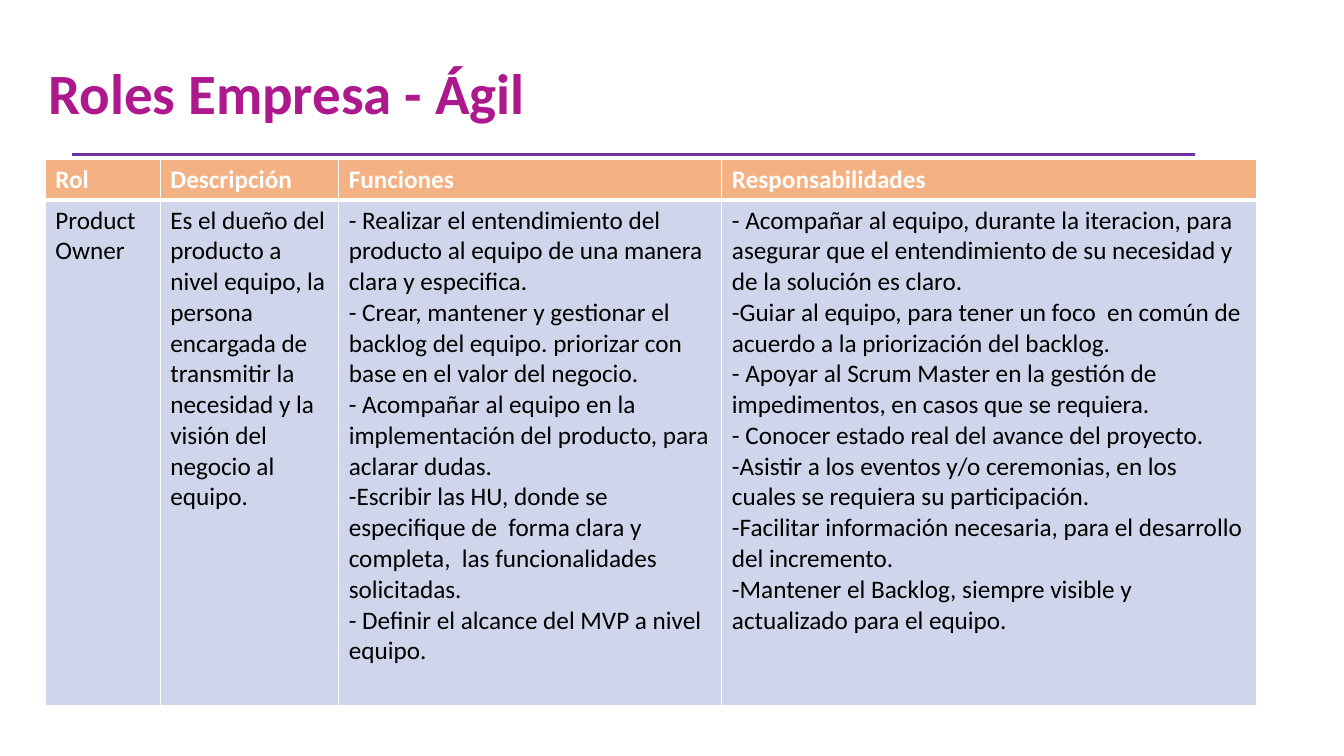
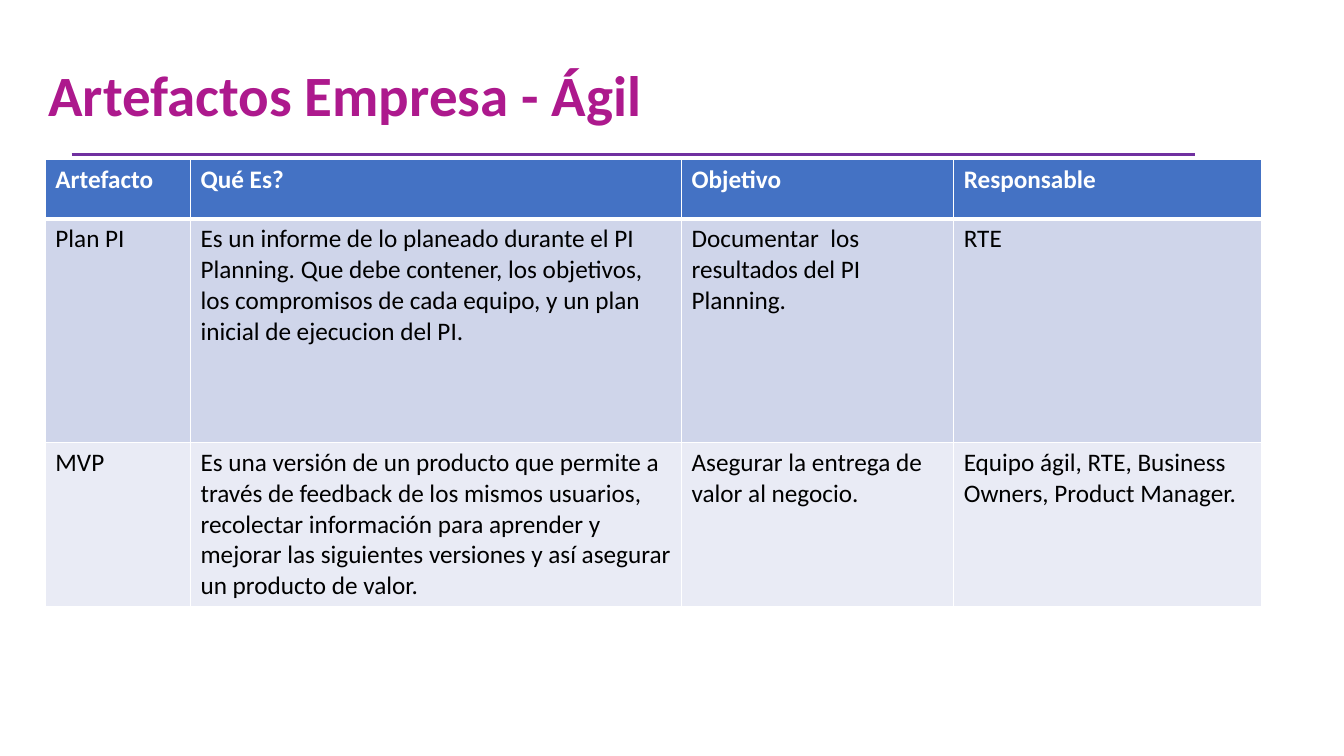
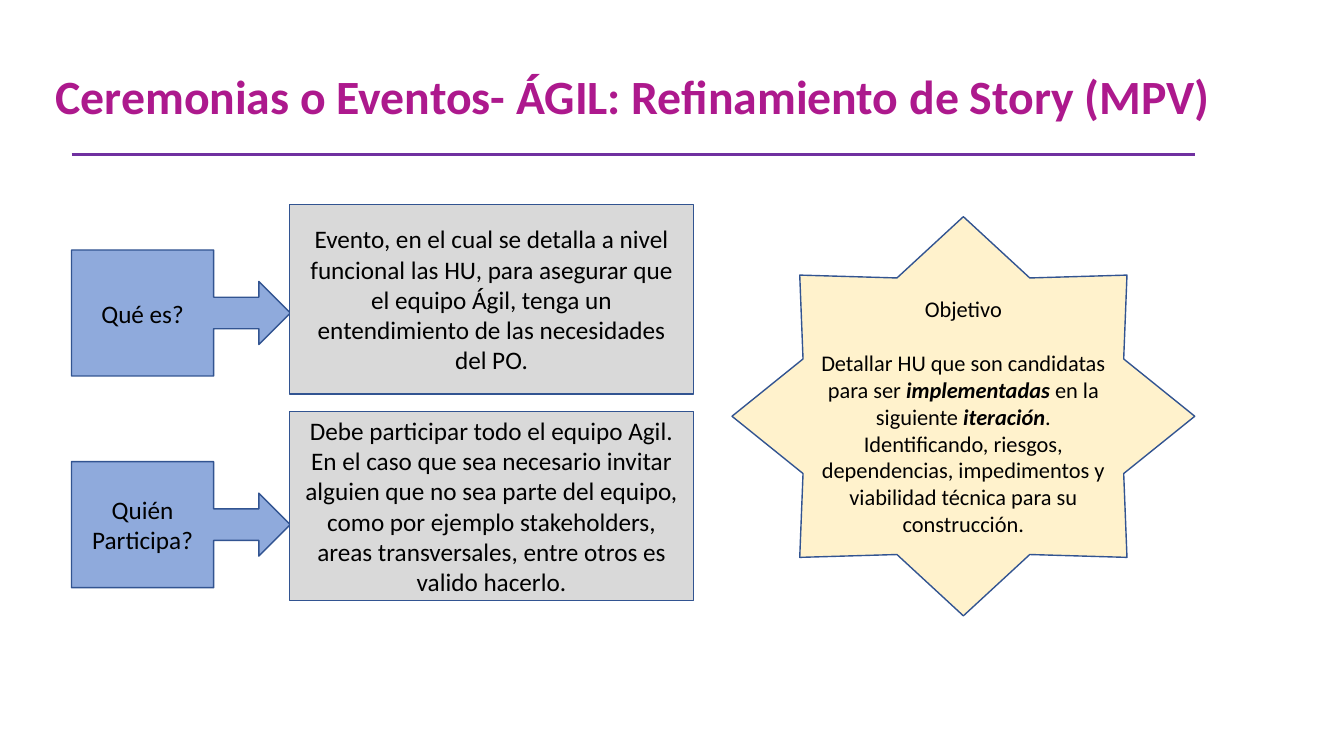
"""Build three slides on agile roles, artefacts and events."""
from lxml.etree import SubElement
from pptx import Presentation
from pptx.dml.color import RGBColor
from pptx.enum.shapes import MSO_CONNECTOR, MSO_SHAPE
from pptx.enum.text import MSO_ANCHOR, MSO_AUTO_SIZE, PP_ALIGN
from pptx.oxml.ns import qn
from pptx.util import Inches, Pt

FONT = "Calibri"
WHITE, BLACK, MAGENTA, PURPLE = "FFFFFF", "000000", "AD198D", "7030A0"
ORANGE, BLUE, BANDS = "F4B183", "4472C4", ("CFD5EA", "E9EBF5")
CALLOUT, GREY, CREAM, OUTLINE = "8FAADC", "D9D9D9", "FFF2CC", "325491"
LEFT, RIGHT, RULE_TOP = 0.71, 11.85, 1.53
TABLE_LEFT, TABLE_TOP = 0.45, 1.58

ROLES = {
    "title": ("Roles Empresa - Ágil", 0.38, 0.69, 40.7),
    "header": ORANGE,
    "columns": (1.14, 1.77, 3.8, 5.3),
    "rows": (0.4, 5.01),
    "cells": [
        ["Rol", "Descripción", "Funciones", "Responsabilidades"],
        [
            "Product Owner",
            "Es el dueño del producto a nivel equipo, la persona encargada de transmitir "
            "la necesidad y la visión del negocio al equipo.",
            "- Realizar el entendimiento del producto al equipo de una manera clara y especifica.\n"
            "- Crear, mantener y gestionar el backlog del equipo. priorizar con base en el valor del negocio.\n"
            "- Acompañar al equipo en la implementación del producto, para aclarar dudas.\n"
            "-Escribir las HU, donde se especifique de  forma clara y completa,  las funcionalidades solicitadas.\n"
            "- Definir el alcance del MVP a nivel equipo.",
            "- Acompañar al equipo, durante la iteracion, para asegurar que el entendimiento "
            "de su necesidad y de la solución es claro.\n"
            "-Guiar al equipo, para tener un foco  en común de acuerdo a la priorización del backlog.\n"
            "- Apoyar al Scrum Master en la gestión de impedimentos, en casos que se requiera.\n"
            "- Conocer estado real del avance del proyecto.\n"
            "-Asistir a los eventos y/o ceremonias, en los cuales se requiera su participación.\n"
            "-Facilitar información necesaria, para el desarrollo del incremento.\n"
            "-Mantener el Backlog, siempre visible y actualizado para el equipo.",
        ],
    ],
}
ARTEFACTS = {
    "title": ("Artefactos Empresa - Ágil", 0.38, 0.71, 40.7),
    "header": BLUE,
    "columns": (1.44, 4.87, 2.7, 3.05),
    "rows": (0.59, 2.22, 1.63),
    "cells": [
        ["Artefacto", "Qué Es?", "Objetivo", "Responsable"],
        [
            "Plan PI",
            "Es un informe de lo planeado durante el PI Planning. Que debe contener, los objetivos, "
            "los compromisos de cada equipo, y un plan inicial de ejecucion del PI.",
            "Documentar  los resultados del PI Planning.",
            "RTE",
        ],
        [
            "MVP",
            "Es una versión de un producto que permite a través de feedback de los mismos usuarios, "
            "recolectar información para aprender y mejorar las siguientes versiones y así asegurar "
            "un producto de valor.",
            "Asegurar la entrega de valor al negocio.",
            "Equipo ágil, RTE, Business Owners, Product Manager.",
        ],
    ],
}
EVENT_TITLE = ("Ceremonias o Eventos- ÁGIL: Refinamiento de Story (MPV)", 0.45, 0.71, 34.1)
QUESTIONS = [
    ("Qué es?", 2.48, 2.03,
     "Evento, en el cual se detalla a nivel funcional las HU, para asegurar que el equipo Ágil, "
     "tenga un entendimiento de las necesidades del PO."),
    ("Quién Participa?", 4.58, 4.08,
     "Debe participar todo el equipo Agil. En el caso que sea necesario invitar alguien que no sea "
     "parte del equipo, como por ejemplo stakeholders, areas transversales, entre otros es valido hacerlo."),
]
GOAL = [
    [("Objetivo", False)],
    [("Detallar HU que son candidatas para ser ", False), ("implementadas", True),
     (" en la siguiente ", False), ("iteración", True),
     (". Identificando, riesgos, dependencias, impedimentos y viabilidad técnica para su construcción.", False)],
]


def rgb(value):
    """Turn a hex string into a colour."""
    return RGBColor.from_string(value)


def style_font(font, size, color, **formats):
    """Apply the shared typeface and the given format values."""
    font.color.rgb = rgb(color)
    for name, value in {"name": FONT, "size": Pt(size), **formats}.items():
        setattr(font, name, value)


def new_slide(presentation, text, left, top, size):
    """Add a slide with its title and the rule below it."""
    slide = presentation.slides.add_slide(presentation.slide_layouts[5])
    title = slide.shapes.title
    for name, value in {"left": left, "top": top, "width": 11.66, "height": 0.61}.items():
        setattr(title, name, Inches(value))
    frame = title.text_frame
    frame.text = text
    frame.word_wrap = True
    frame.auto_size = MSO_AUTO_SIZE.NONE
    frame.vertical_anchor = MSO_ANCHOR.MIDDLE
    paragraph = frame.paragraphs[0]
    paragraph.alignment = PP_ALIGN.LEFT
    paragraph.line_spacing = 0.7
    style_font(paragraph.runs[0].font, size, MAGENTA, bold=True)
    rule = slide.shapes.add_connector(
        MSO_CONNECTOR.STRAIGHT, *map(Inches, (LEFT, RULE_TOP, RIGHT, RULE_TOP)))
    rule.line.color.rgb = rgb(PURPLE)
    rule.line.width = Pt(2.25)
    SubElement(rule.element.spPr, qn("a:effectLst"))
    return slide


def add_borders(cell, **widths):
    """Draw white cell borders of the given widths in points."""
    properties = cell._tc.get_or_add_tcPr()
    for side in "LRTB":
        line = SubElement(properties, qn(f"a:ln{side}"), w=str(Pt(widths.get(side, 1))))
        SubElement(SubElement(line, qn("a:solidFill")), qn("a:srgbClr"), val=WHITE)


def table_slide(presentation, content):
    """Add a slide that holds one table with a coloured header row."""
    slide = new_slide(presentation, *content["title"])
    columns, rows = content["columns"], content["rows"]
    table = slide.shapes.add_table(
        len(rows), len(columns),
        *map(Inches, (TABLE_LEFT, TABLE_TOP, sum(columns), sum(rows)))).table
    for column, width in zip(table.columns, columns):
        column.width = Inches(width)
    for index, (row, height) in enumerate(zip(table.rows, rows)):
        row.height = Inches(height)
        header = index == 0
        for cell, text in zip(row.cells, content["cells"][index]):
            add_borders(cell, **({"B": 3} if header else {"T": 3} if index == 1 else {}))
            cell.fill.solid()
            cell.fill.fore_color.rgb = rgb(content["header"] if header else BANDS[(index - 1) % 2])
            cell.text = text
            for paragraph in cell.text_frame.paragraphs:
                style_font(paragraph.runs[0].font, 18, WHITE if header else BLACK, bold=header)


def add_box(slide, kind, box, fill, paragraphs, size=18):
    """Add an outlined shape with centred text, given as lists of (text, strong) runs."""
    shape = slide.shapes.add_shape(kind, *map(Inches, box))
    shape.shadow.inherit = False
    shape.fill.solid()
    shape.fill.fore_color.rgb = rgb(fill)
    shape.line.color.rgb = rgb(OUTLINE)
    shape.line.width = Pt(1)
    frame = shape.text_frame
    frame.word_wrap = True
    frame.vertical_anchor = MSO_ANCHOR.MIDDLE
    for index, runs in enumerate(paragraphs):
        paragraph = frame.add_paragraph() if index else frame.paragraphs[0]
        paragraph.alignment = PP_ALIGN.CENTER
        if index:
            paragraph.space_before = Pt(1.2 * size)
        for text, strong in runs:
            run = paragraph.add_run()
            run.text = text
            style_font(run.font, size, BLACK, bold=strong, italic=strong)


def event_slide(presentation):
    """Add the slide with two questions, their answers and the goal."""
    slide = new_slide(presentation, *EVENT_TITLE)
    for question, question_top, answer_top, answer in QUESTIONS:
        add_box(slide, MSO_SHAPE.RIGHT_ARROW_CALLOUT, (LEFT, question_top, 2.17, 1.25),
                CALLOUT, [[(question, False)]])
        add_box(slide, MSO_SHAPE.FLOWCHART_PROCESS, (2.87, answer_top, 4.01, 1.88),
                GREY, [[(answer, False)]])
    add_box(slide, MSO_SHAPE.STAR_8_POINT, (7.26, 2.15, RIGHT - 7.26, 3.96), CREAM, GOAL, 16)


def main():
    """Build and save the presentation."""
    presentation = Presentation()
    presentation.slide_width, presentation.slide_height = Inches(13.33), Inches(7.5)
    for content in (ROLES, ARTEFACTS):
        table_slide(presentation, content)
    event_slide(presentation)
    presentation.save("out.pptx")


if __name__ == "__main__":
    main()
